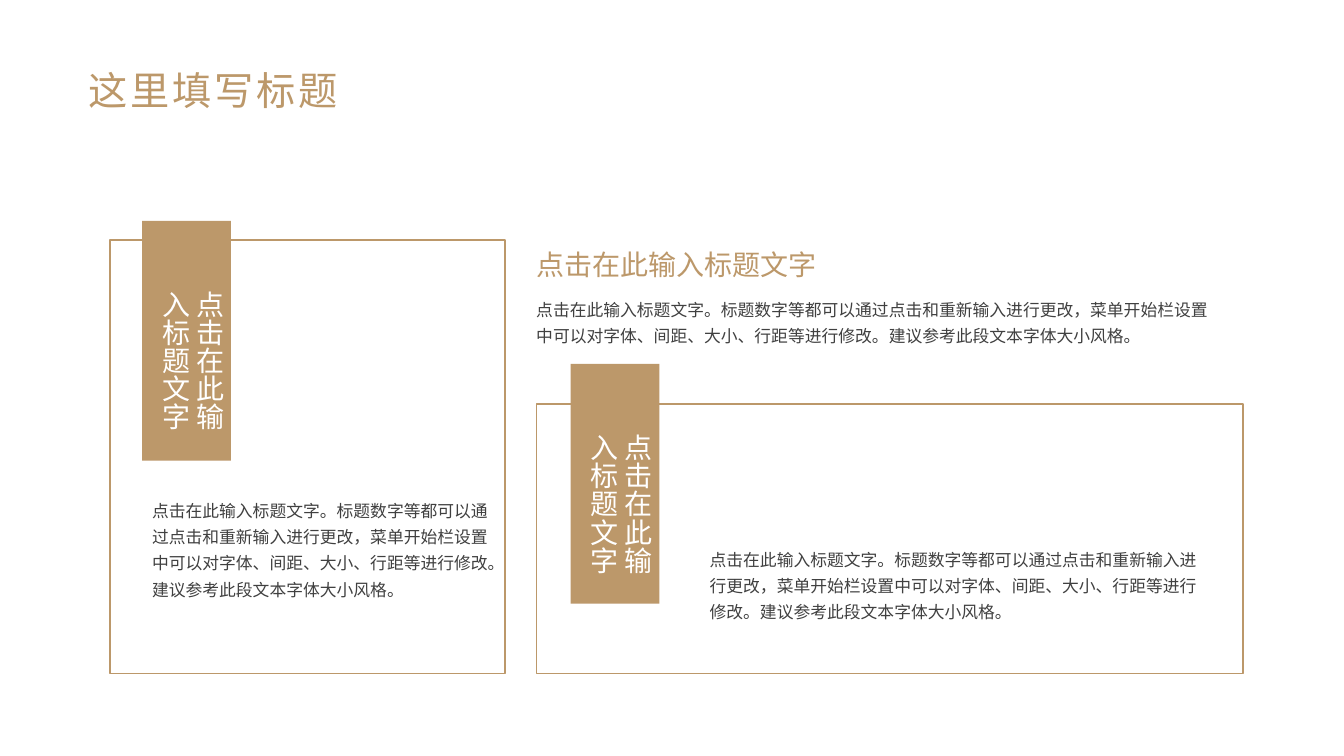
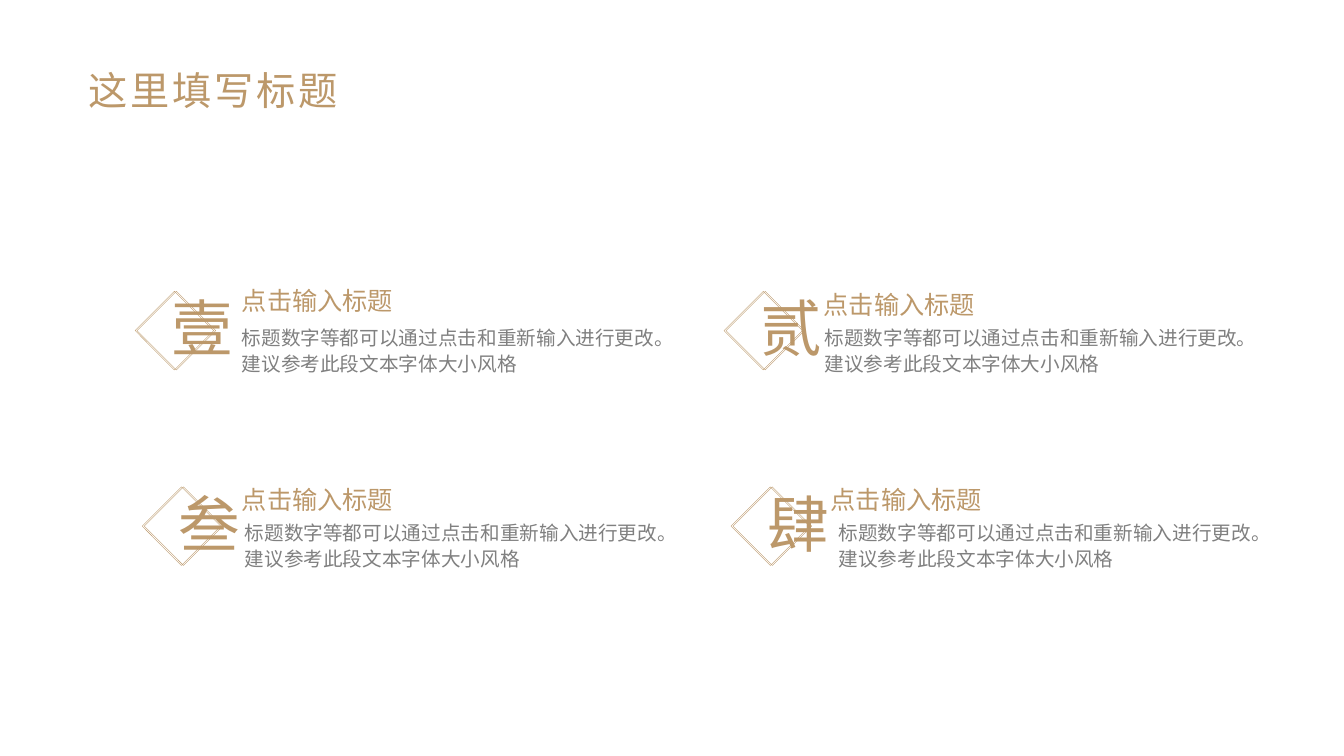
from dataclasses import dataclass

from lxml.etree import SubElement
from pptx import Presentation
from pptx.dml.color import RGBColor
from pptx.enum.shapes import MSO_SHAPE as Shape
from pptx.enum.text import MSO_ANCHOR as Anchor
from pptx.enum.text import MSO_AUTO_SIZE as AutoSize
from pptx.enum.text import PP_ALIGN as Align
from pptx.oxml.ns import qn
from pptx.util import Inches, Pt

COLORS = {"gold": "BC986A", "dark": "404040", "grey": "808080", "white": "FFFFFF"}
HEADING_FONT = "Noto Sans CJK JP"
BODY_FONT = "Noto Sans CJK SC"

PAGE_TITLE = "这里填写标题"
PANEL_HEADING = "点击在此输入标题文字"
PANEL_BODY = (
    "点击在此输入标题文字。标题数字等都可以通过点击和重新输入进行更改，"
    "菜单开始栏设置中可以对字体、间距、大小、行距等进行修改。"
    "建议参考此段文本字体大小风格。"
)
ITEM_HEADING = "点击输入标题"
ITEM_BODY = "标题数字等都可以通过点击和重新输入进行更改。建议参考此段文本字体大小风格"


@dataclass(frozen=True)
class Area:
    left: float
    top: float
    width: float
    height: float

    def lengths(self) -> tuple:
        return tuple(Inches(n) for n in (self.left, self.top, self.width, self.height))


@dataclass(frozen=True)
class Style:
    size: float
    color: str
    font: str = HEADING_FONT
    line_spacing: float = 1.0
    tracking: float = 0


@dataclass(frozen=True)
class Panel:
    frame: Area
    tab_left: float
    tab_top: float
    body: Area


@dataclass(frozen=True)
class Item:
    numeral: str
    left: float
    top: float
    heading_left: float
    heading_top: float
    body_left: float


TITLE = Style(28, "gold", tracking=2)
HEADING = Style(20, "gold")
TAB_TEXT = Style(20, "white")
PANEL_TEXT = Style(12, "dark", BODY_FONT, 1.3)
NUMERAL = Style(44, "gold")
ITEM_TITLE = Style(18, "gold")
ITEM_TEXT = Style(14, "grey", BODY_FONT, 1.1)

PANELS = (
    Panel(Area(1.09, 2.38, 3.92, 4.3), 1.41, 2.19, Area(1.41, 4.86, 3.6, 1.13)),
    Panel(Area(5.32, 4.01, 7.01, 2.67), 5.66, 3.61, Area(6.94, 5.34, 5.14, 0.86)),
)
ITEMS = (
    Item("壹", 1.34, 2.89, 2.3, 2.78, 2.3),
    Item("贰", 7.18, 2.89, 8.07, 2.82, 8.08),
    Item("叁", 1.41, 4.83, 2.3, 4.76, 2.33),
    Item("肆", 7.25, 4.83, 8.14, 4.76, 8.22),
)


def rgb(name: str) -> RGBColor:
    return RGBColor.from_string(COLORS[name])


def write(frame, text: str, style: Style, wrap: bool = True) -> None:
    frame.text = text
    frame.word_wrap = wrap
    frame.auto_size = AutoSize.SHAPE_TO_FIT_TEXT
    frame.vertical_anchor = Anchor.TOP
    para = frame.paragraphs[0]
    para.alignment = Align.LEFT
    para.line_spacing = style.line_spacing
    font = para.runs[0].font
    font.size = Pt(style.size)
    font.color.rgb = rgb(style.color)
    font.name = style.font
    properties = para.runs[0]._r.get_or_add_rPr()
    SubElement(properties, qn("a:ea")).set("typeface", style.font)
    if style.tracking:
        properties.set("spc", str(int(style.tracking * 100)))


def add_text(page, area: Area, text: str, style: Style,
             wrap: bool = True, vertical: bool = False) -> None:
    box = page.shapes.add_textbox(*area.lengths())
    if vertical:
        box.text_frame._txBody.bodyPr.set("vert", "eaVert")
    write(box.text_frame, text, style, wrap)


def add_outline(shapes, kind: Shape, area: Area, weight: float) -> None:
    shape = shapes.add_shape(kind, *area.lengths())
    shape.shadow.inherit = False
    shape.fill.background()
    shape.line.color.rgb = rgb("gold")
    shape.line.width = Pt(weight)


def add_page(deck):
    """Add a slide with the shared title."""
    page = deck.slides.add_slide(deck.slide_layouts[5])
    title = page.shapes.title
    title.left, title.top, title.width, title.height = Area(0.78, 0.61, 3.17, 0.57).lengths()
    write(title.text_frame, PAGE_TITLE, TITLE)
    return page


def add_panel(page, panel: Panel) -> None:
    """Draw a framed text with a vertical heading tab."""
    add_outline(page.shapes, Shape.RECTANGLE, panel.frame, 1)
    tab_area = Area(panel.tab_left, panel.tab_top, 0.88, 2.38)
    tab = page.shapes.add_shape(Shape.RECTANGLE, *tab_area.lengths())
    tab.shadow.inherit = False
    tab.fill.solid()
    tab.fill.fore_color.rgb = rgb("gold")
    tab.line.fill.background()
    label = Area(panel.tab_left, panel.tab_top + 0.6, tab_area.width, 1.64)
    add_text(page, label, PANEL_HEADING, TAB_TEXT, vertical=True)
    add_text(page, panel.body, PANEL_BODY, PANEL_TEXT)


def add_item(page, item: Item) -> None:
    """Draw a numeral on a double diamond, with heading and text."""
    diamonds = page.shapes.add_group_shape()
    for shift in (0, 0.02):
        area = Area(item.left + shift, item.top, 0.78, 0.78)
        add_outline(diamonds.shapes, Shape.DIAMOND, area, 0.25)
    add_text(page, Area(item.left + 0.26, item.top - 0.06, 1.68, 0.84), item.numeral, NUMERAL)
    add_text(page, Area(item.heading_left, item.heading_top, 1.72, 0.4),
             ITEM_HEADING, ITEM_TITLE, wrap=False)
    # Body text sits at one fixed distance below the top of the diamonds.
    add_text(page, Area(item.body_left, item.top + 0.27, 4.3, 0.6), ITEM_BODY, ITEM_TEXT)


def build_panels_page(deck) -> None:
    page = add_page(deck)
    for panel in PANELS:
        add_panel(page, panel)
    add_text(page, Area(5.22, 2.86, 7.01, 0.6), PANEL_BODY, PANEL_TEXT)
    add_text(page, Area(5.22, 2.41, 3.01, 0.44), PANEL_HEADING, HEADING, wrap=False)


def build_items_page(deck) -> None:
    page = add_page(deck)
    for item in ITEMS:
        add_item(page, item)


def main() -> None:
    deck = Presentation()
    deck.slide_width, deck.slide_height = Inches(13.33), Inches(7.5)
    build_panels_page(deck)
    build_items_page(deck)
    deck.save("out.pptx")


if __name__ == "__main__":
    main()
